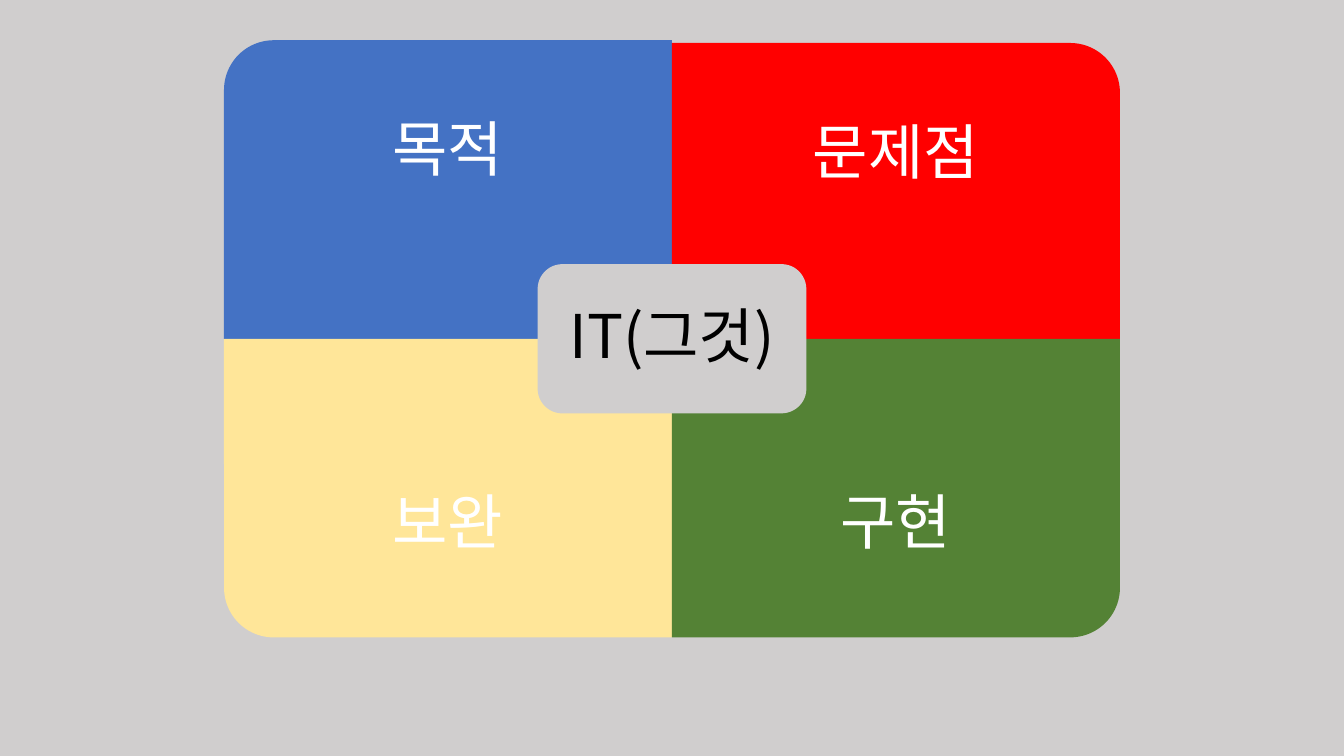
from dataclasses import dataclass

from lxml.etree import SubElement
from pptx import Presentation
from pptx.dml.color import RGBColor
from pptx.enum.shapes import MSO_SHAPE as Shape
from pptx.enum.text import MSO_ANCHOR as Anchor, PP_ALIGN as Align
from pptx.oxml.ns import qn
from pptx.slide import Slide
from pptx.util import Pt


@dataclass(frozen=True)
class Theme:
    """Colours and type of the slide."""
    gray: str = "D0CECE"
    blue: str = "4472C4"
    red: str = "FF0000"
    yellow: str = "FFE699"
    green: str = "548235"
    white: str = "FFFFFF"
    black: str = "000000"
    font: str = "Noto Sans CJK KR"
    size: float = 43


@dataclass(frozen=True)
class Box:
    """A rectangle in points."""
    x: float
    y: float
    w: float
    h: float


@dataclass(frozen=True)
class Quadrant:
    """One quarter of the matrix; rotation turns its round corner outwards."""
    label: str
    color: str
    col: int
    row: int
    rotation: int
    drop: float = 0


THEME = Theme()
CENTER_X, CENTER_Y = 480, 242
QUAD_W, QUAD_H = 320, 213.3
LABEL_H = QUAD_H * 0.75
HUB_W, HUB_H = QUAD_W * 0.6, QUAD_H / 2
HUB_INSET = 5.2

QUADRANTS = [
    Quadrant("목적", THEME.blue, 0, 0, 270),
    Quadrant("문제점", THEME.red, 1, 0, 0, drop=2),
    Quadrant("보완", THEME.yellow, 0, 1, 180),
    Quadrant("구현", THEME.green, 1, 1, 90),
]


def add_block(s: Slide, kind: Shape, box: Box, color: str, rotation: int = 0) -> None:
    """Draw a flat shape that fills the box after rotation."""
    w, h = (box.h, box.w) if rotation % 180 else (box.w, box.h)
    x, y = box.x + (box.w - w) / 2, box.y + (box.h - h) / 2
    sp = s.shapes.add_shape(kind, Pt(x), Pt(y), Pt(w), Pt(h))
    sp.rotation = rotation
    sp.shadow.inherit = False
    sp.fill.solid()
    sp.fill.fore_color.rgb = RGBColor.from_string(color)
    sp.line.fill.background()


def add_label(s: Slide, text: str, box: Box, color: str, inset: float) -> None:
    """Write centred text in the box."""
    tf = s.shapes.add_textbox(Pt(box.x), Pt(box.y), Pt(box.w), Pt(box.h)).text_frame
    tf.word_wrap = True
    tf.vertical_anchor = Anchor.MIDDLE
    tf.margin_left = tf.margin_right = tf.margin_top = tf.margin_bottom = Pt(inset)
    tf.text = text
    p = tf.paragraphs[0]
    p.alignment = Align.CENTER
    p.line_spacing = 0.9
    font = p.runs[0].font
    font.size = Pt(THEME.size)
    font.color.rgb = RGBColor.from_string(color)
    font.name = THEME.font
    SubElement(p.runs[0]._r.get_or_add_rPr(), qn("a:ea"), typeface=THEME.font)


def add_quadrant(s: Slide, q: Quadrant) -> None:
    """Draw a quadrant with its label on the side away from the hub."""
    x = CENTER_X + (q.col - 1) * QUAD_W
    y = CENTER_Y + (q.row - 1) * QUAD_H + q.drop
    add_block(s, Shape.ROUND_1_RECTANGLE, Box(x, y, QUAD_W, QUAD_H), q.color, q.rotation)
    label_y = y + q.row * (QUAD_H - LABEL_H)
    add_label(s, q.label, Box(x, label_y, QUAD_W, LABEL_H), THEME.white, 24)


def add_hub(s: Slide, text: str) -> None:
    """Draw the rounded centre over the four quadrants."""
    x, y = CENTER_X - HUB_W / 2, CENTER_Y - HUB_H / 2
    add_block(s, Shape.ROUNDED_RECTANGLE, Box(x, y, HUB_W, HUB_H), THEME.gray)
    inner = Box(x + HUB_INSET, y + HUB_INSET, HUB_W - 2 * HUB_INSET, HUB_H - 2 * HUB_INSET)
    add_label(s, text, inner, THEME.black, 13)


def main() -> None:
    """Build and save the slide."""
    prs = Presentation()
    prs.slide_width, prs.slide_height = Pt(960), Pt(540)
    s = prs.slides.add_slide(prs.slide_layouts[6])
    s.background.fill.solid()
    s.background.fill.fore_color.rgb = RGBColor.from_string(THEME.gray)
    for quadrant in QUADRANTS:
        add_quadrant(s, quadrant)
    add_hub(s, "IT(그것)")
    prs.save("out.pptx")


main()
